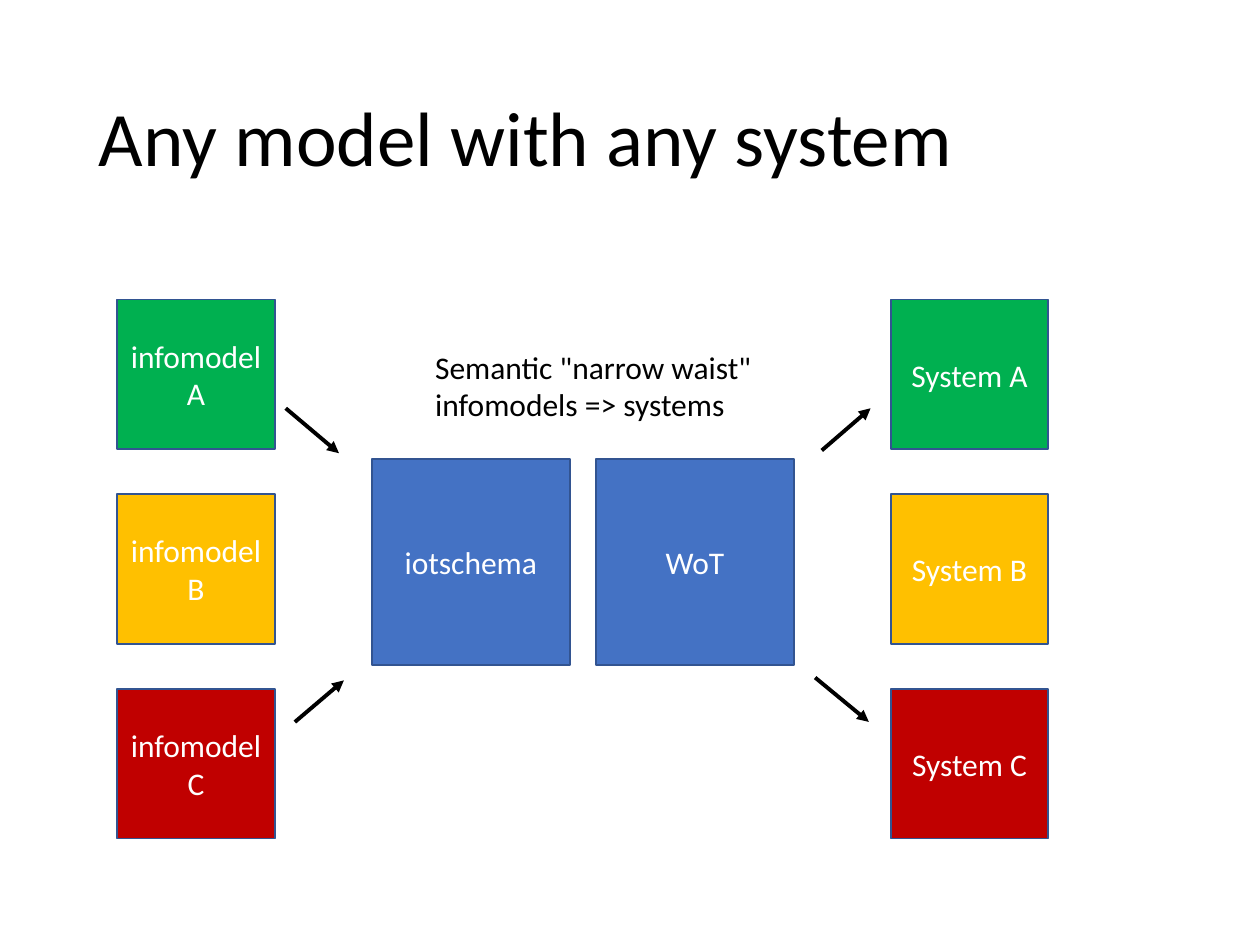
import pptx
import pptx.util
import pptx.dml.color
import pptx.enum.shapes
import pptx.enum.text
import pptx.oxml.ns
import lxml.etree

Pt = pptx.util.Pt
ALIGN = pptx.enum.text.PP_ALIGN
ANCHOR = pptx.enum.text.MSO_ANCHOR

TITLE = "Any model with any system"
CAPTION = ['Semantic "narrow waist"', "infomodels => systems"]
ROWS = [("A", "00B050"), ("B", "FFC000"), ("C", "C00000")]
COLUMNS = [("infomodel", 67), ("System", 509)]
WAIST = [("iotschema", 212.4), ("WoT", 340.5)]
ARROWS = [
    (163.3, 233.3, 193.7, 259),
    (465.8, 387.2, 496.5, 412.5),
    (168.5, 412.6, 196.5, 388.8),
    (469.6, 257.4, 497.5, 233.3),
]
ROW_TOP, ROW_STEP = 171.2, 111.2
SIDE_SIZE = (90, 85.6)
WAIST_TOP, WAIST_SIZE = 262.3, (113.3, 117.6)


def color(value):
    return pptx.dml.color.RGBColor.from_string(value)


def write(shape, lines, size=18, ink="000000", align=ALIGN.LEFT,
          anchor=ANCHOR.TOP, wrap=True, spacing=None):
    frame = shape.text_frame
    frame.word_wrap = wrap
    frame.vertical_anchor = anchor
    for index, line in enumerate(lines):
        para = frame.add_paragraph() if index else frame.paragraphs[0]
        para.alignment = align
        if spacing:
            para.line_spacing = spacing
        span = para.add_run()
        span.text = line
        span.font.size = Pt(size)
        span.font.name = "Calibri"
        span.font.color.rgb = color(ink)


def add_box(page, label, left, top, size, fill):
    box = page.shapes.add_shape(
        pptx.enum.shapes.MSO_SHAPE.RECTANGLE, Pt(left), Pt(top), *map(Pt, size))
    box.shadow.inherit = False
    box.fill.solid()
    box.fill.fore_color.rgb = color(fill)
    box.line.color.rgb = color("325491")
    box.line.width = Pt(1)
    write(box, [label], ink="FFFFFF", align=ALIGN.CENTER, anchor=ANCHOR.MIDDLE)


def add_arrow(page, ends):
    arrow = page.shapes.add_connector(
        pptx.enum.shapes.MSO_CONNECTOR.STRAIGHT, *map(Pt, ends))
    arrow.line.color.rgb = color("000000")
    arrow.line.width = Pt(2.25)
    qn = pptx.oxml.ns.qn
    properties = arrow.element.spPr
    lxml.etree.SubElement(properties.find(qn("a:ln")), qn("a:tailEnd"), type="triangle")
    lxml.etree.SubElement(properties, qn("a:effectLst"))


deck = pptx.Presentation()
deck.slide_width, deck.slide_height = Pt(720), Pt(540)
page = deck.slides.add_slide(deck.slide_layouts[6])

title = page.shapes.add_textbox(Pt(49.5), Pt(28.75), Pt(621), Pt(104.4))
write(title, [TITLE], size=44, anchor=ANCHOR.MIDDLE, spacing=0.9)

for label, left in WAIST:
    add_box(page, label, left, WAIST_TOP, WAIST_SIZE, "4472C4")

for name, left in COLUMNS:
    for row, (letter, fill) in enumerate(ROWS):
        add_box(page, f"{name} {letter}", left, ROW_TOP + row * ROW_STEP, SIDE_SIZE, fill)

caption = page.shapes.add_textbox(Pt(241.6), Pt(195.1), Pt(197.3), Pt(50.9))
write(caption, CAPTION, wrap=False)
caption.text_frame.auto_size = pptx.enum.text.MSO_AUTO_SIZE.SHAPE_TO_FIT_TEXT

for ends in ARROWS:
    add_arrow(page, ends)

deck.save("out.pptx")
